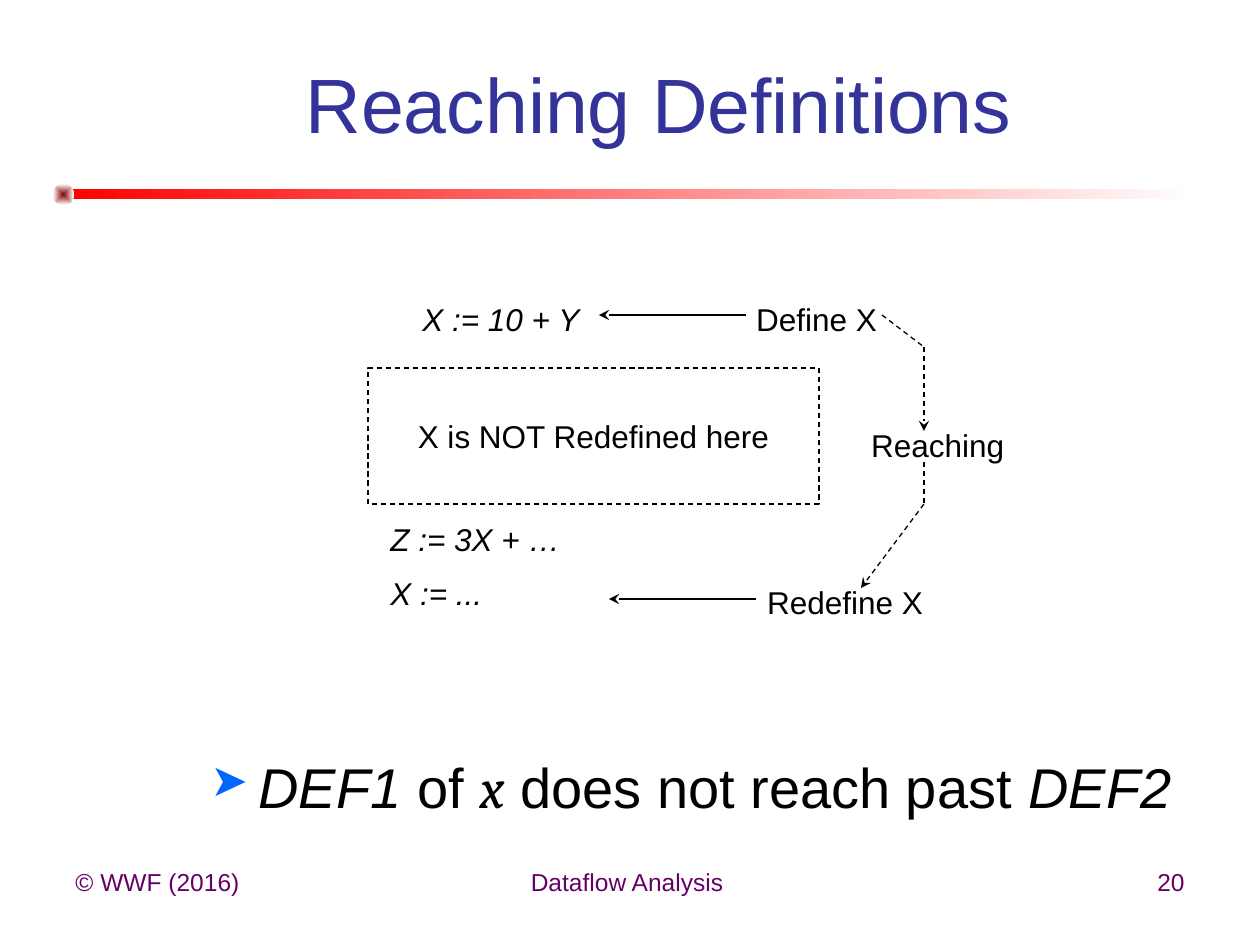
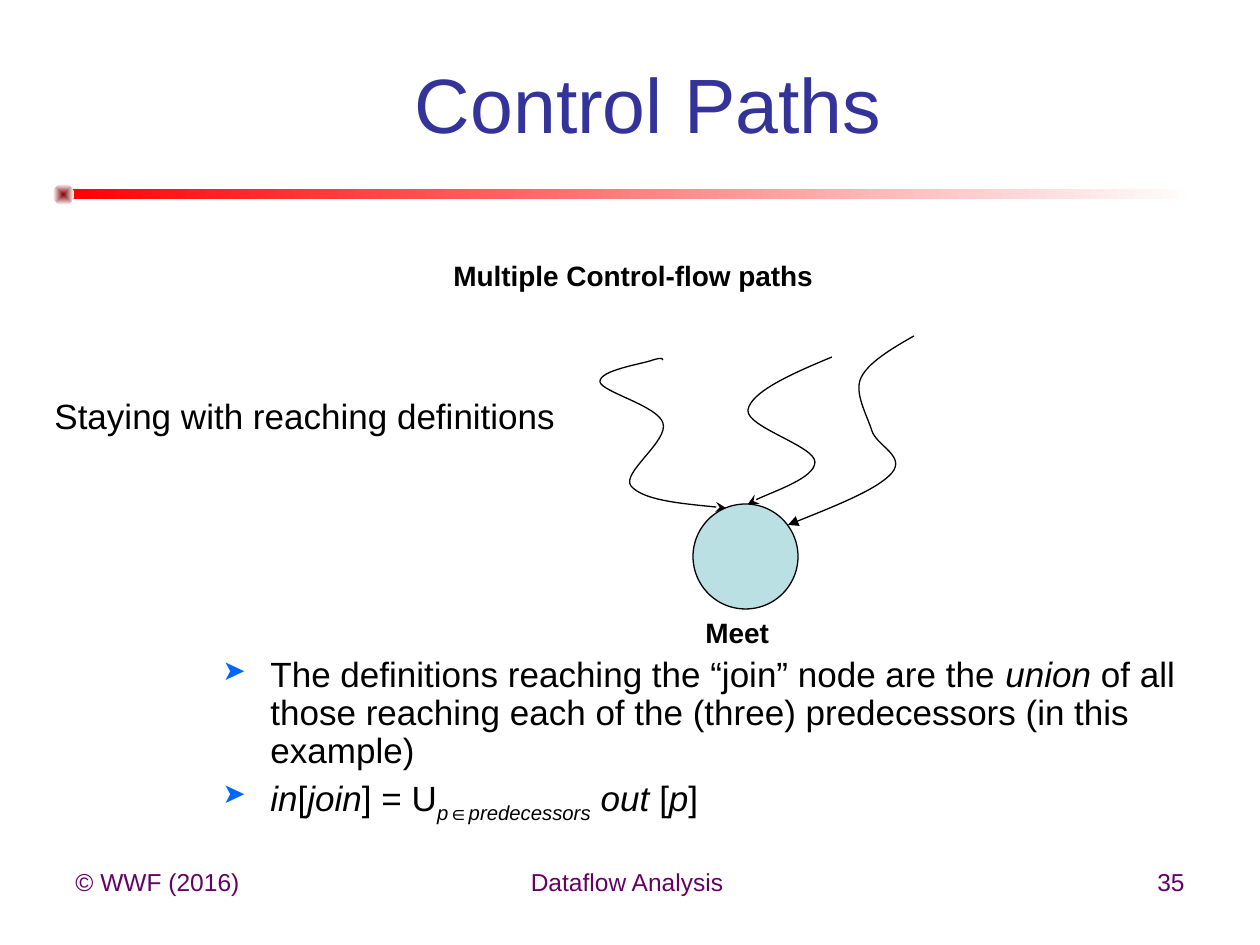
"""Build two dataflow analysis slides: reaching definitions and control paths."""
from lxml.etree import SubElement
from pptx import Presentation
from pptx.dml.color import RGBColor
from pptx.enum.dml import MSO_LINE
from pptx.enum.shapes import MSO_CONNECTOR, MSO_SHAPE
from pptx.enum.text import MSO_ANCHOR, PP_ALIGN
from pptx.oxml.ns import qn
from pptx.util import Emu, Pt

PX = 914400 / 126
FONT, SYMBOL_FONT = "Arial", "Cambria"
BLACK = RGBColor(0, 0, 0)
WHITE = RGBColor(255, 255, 255)
TITLE_BLUE = RGBColor(0x33, 0x33, 0x99)
FOOTER_PURPLE = RGBColor(0x66, 0, 0x66)
BAND_RED = RGBColor(255, 0, 0)
DOT_RED = RGBColor(0x80, 0, 0)
NODE_FILL = RGBColor(0xBB, 0xE0, 0xE3)
BULLET_BLUE = "0066FF"

TITLE_AT = (146, 69, 1026, 67)
BAND_AT = (63, 189, 1134, 10)
DOT_AT = (53, 184, 21, 21)
FOOTERS = [
    ((63, 861, 294, 66), "© WWF (2016)", PP_ALIGN.LEFT),
    ((431, 861, 399, 66), "Dataflow Analysis ", PP_ALIGN.CENTER),
]
NUMBER_AT = (903, 861, 294, 66)

REACHING = {
    "title": "Reaching Definitions",
    "number": "20",
    "body_at": (198, 746, 1062, 127),
    "body_size": 32,
    "body_spacing": 1.0,
    "bullets": [[("DEF1", "i"), (" of ", ""), ("x", "ic"),
                 (" does not reach past ", ""), ("DEF2", "i")]],
    "labels": [
        ((410, 294, 410, 50), ["X := 10 + Y"], 18, "i"),
        ((735, 294, 410, 50), [" Define X"], 18, ""),
        ((850, 420, 410, 50), [" Reaching"], 18, ""),
        ((746, 577, 410, 50), [" Redefine X"], 18, ""),
        ((378, 514, 410, 107), ["Z := 3X + …", "X := ..."], 18, "i"),
    ],
}
CONTROL = {
    "title": "Control Paths ",
    "number": "35",
    "body_at": (210, 651, 1050, 210),
    "body_size": 20,
    "body_spacing": 0.9,
    "bullets": [
        [("The definitions reaching the “join” node are the ", ""), ("union", "i"),
         (" of all those reaching each of the (three) predecessors (in this example)", "")],
        [("in", "i"), ("[", ""), ("join", "i"), ("] = U", ""), ("p", "is"), ("∈", "s"),
         ("predecessors", "is"), (" out ", "i"), ("[", ""), ("p", "i"), ("]", "")],
    ],
    "labels": [
        ((693, 609, 126, 47), ["Meet"], 16, "b"),
        ((441, 252, 494, 47), ["Multiple Control-flow paths"], 16, "b"),
        ((42, 388, 599, 54), ["Staying with reaching definitions"], 20, ""),
    ],
}

UNCHANGED_AT = (368, 368, 451, 136)
UNCHANGED_TEXT = "X is NOT Redefined here"
ARROWS = [
    ((746, 315), (599, 315), False, True),
    ((882, 315), (924, 347), True, False),
    ((924, 347), (924, 431), True, True),
    ((924, 462), (924, 504), True, False),
    ((924, 504), (861, 588), True, True),
    ((756, 599), (609, 599), False, True),
]
MEET_AT = (693, 504, 105, 105)
CURVES = [
    ("stealth", [(663, 360), (663, 359), (663, 357), (653, 360), (643, 364), (599, 370),
                 (600, 382), (602, 392), (658, 406), (663, 423), (669, 441), (621, 473),
                 (631, 486), (643, 500), (684, 504), (726, 508)]),
    ("stealth", [(832, 357), (791, 374), (751, 392), (748, 410), (746, 427), (815, 446),
                 (815, 462), (815, 478), (760, 496), (748, 504)]),
    ("triangle", [(914, 336), (891, 349), (868, 363), (861, 378), (854, 393), (867, 415),
                  (872, 431), (877, 446), (906, 456), (892, 473), (878, 489), (833, 507),
                  (788, 525)]),
]


def emu(lengths):
    return [Emu(round(length * PX)) for length in lengths]


def style_font(para, size, color, marks=""):
    font = para.font
    font.name, font.size = FONT, Pt(size)
    font.color.rgb = color
    if "b" in marks:
        font.bold = True
    if "i" in marks:
        font.italic = True


def style_line(line, dashed=False, head=None):
    line.color.rgb = BLACK
    line.width = Pt(0.75)
    if dashed:
        line.dash_style = MSO_LINE.DASH
    if head:
        SubElement(line._get_or_add_ln(), qn("a:tailEnd"), type=head)


def add_text(page, at, lines, size, color=BLACK, marks="", align=PP_ALIGN.LEFT):
    frame = page.shapes.add_textbox(*emu(at)).text_frame
    frame.word_wrap = True
    frame.text = "\n".join(lines)
    for index, para in enumerate(frame.paragraphs):
        para.alignment = align
        if index:
            para.space_before = Pt(size / 2)
        style_font(para, size, color, marks)


def add_bullet(para):
    props = para._p.get_or_add_pPr()
    indent = round(48 * PX)
    props.set("marL", str(indent))
    props.set("indent", str(-indent))
    SubElement(SubElement(props, qn("a:buClr")), qn("a:srgbClr"), val=BULLET_BLUE)
    SubElement(props, qn("a:buSzPct"), val="80000")
    SubElement(props, qn("a:buChar"), char="➤")


def add_body(page, content):
    frame = page.shapes.add_textbox(*emu(content["body_at"])).text_frame
    frame.word_wrap = True
    size = content["body_size"]
    for index, spans in enumerate(content["bullets"]):
        para = frame.add_paragraph() if index else frame.paragraphs[0]
        add_bullet(para)
        para.line_spacing = content["body_spacing"]
        if index:
            para.space_before = Pt(size / 5)
        style_font(para, size, BLACK)
        for text, marks in spans:
            span = para.add_run()
            span.text = text
            if "i" in marks:
                span.font.italic = True
            if "c" in marks:
                span.font.name = SYMBOL_FONT
            if "s" in marks:
                span._r.get_or_add_rPr().set("baseline", "-25000")


def add_shape(page, kind, at):
    shape = page.shapes.add_shape(kind, *emu(at))
    shape.shadow.inherit = False
    return shape


def add_gradient(page, kind, at, start):
    shape = add_shape(page, kind, at)
    shape.line.fill.background()
    shape.fill.gradient()
    shape.fill.gradient_angle = 0
    for stop, position, color in zip(shape.fill.gradient_stops, (0, 1), (start, WHITE)):
        stop.position = position
        stop.color.rgb = color
    return shape


def add_dot(page):
    dot = add_gradient(page, MSO_SHAPE.OVAL, DOT_AT, DOT_RED)
    gradient = dot._element.spPr.find(qn("a:gradFill"))
    gradient.remove(gradient.find(qn("a:lin")))
    center = SubElement(gradient, qn("a:path"), {"path": "shape"})
    SubElement(center, qn("a:fillToRect"), {side: "50000" for side in "ltrb"})


def add_arrow(page, start, end, dashed, pointed):
    arrow = page.shapes.add_connector(MSO_CONNECTOR.STRAIGHT, *emu(start + end))
    style_line(arrow.line, dashed, "stealth" if pointed else None)
    SubElement(arrow._element.spPr, qn("a:effectLst"))


def add_curve(page, head, points):
    builder = page.shapes.build_freeform(*points[0], scale=PX)
    builder.add_line_segments(points[1:], close=False)
    curve = builder.convert_to_shape()
    curve.shadow.inherit = False
    curve.fill.background()
    style_line(curve.line, head=head)
    outline = next(curve._element.iter(qn("a:path")))
    segments = outline.findall(qn("a:lnTo"))
    for first in range(0, len(segments), 3):
        bezier = SubElement(outline, qn("a:cubicBezTo"))
        for segment in segments[first:first + 3]:
            bezier.append(segment[0])
            outline.remove(segment)


def add_page(deck, content):
    page = deck.slides.add_slide(deck.slide_layouts[5])
    add_gradient(page, MSO_SHAPE.RECTANGLE, BAND_AT, BAND_RED)
    add_dot(page)
    for at, text, align in FOOTERS + [(NUMBER_AT, content["number"], PP_ALIGN.RIGHT)]:
        add_text(page, at, [text], 14, FOOTER_PURPLE, align=align)
    title = page.shapes.title
    title.left, title.top, title.width, title.height = emu(TITLE_AT)
    title.text_frame.text = content["title"]
    title.text_frame.vertical_anchor = MSO_ANCHOR.MIDDLE
    para = title.text_frame.paragraphs[0]
    para.alignment = PP_ALIGN.CENTER
    style_font(para, 44, TITLE_BLUE)
    add_body(page, content)
    for at, lines, size, marks in content["labels"]:
        add_text(page, at, lines, size, marks=marks)
    return page


def draw_reaching(page):
    unchanged = add_shape(page, MSO_SHAPE.RECTANGLE, UNCHANGED_AT)
    unchanged.fill.background()
    style_line(unchanged.line, dashed=True)
    frame = unchanged.text_frame
    frame.word_wrap = False
    frame.vertical_anchor = MSO_ANCHOR.MIDDLE
    frame.text = UNCHANGED_TEXT
    para = frame.paragraphs[0]
    para.alignment = PP_ALIGN.CENTER
    style_font(para, 18, BLACK)
    for arrow in ARROWS:
        add_arrow(page, *arrow)


def draw_control(page):
    meet = add_shape(page, MSO_SHAPE.OVAL, MEET_AT)
    meet.fill.solid()
    meet.fill.fore_color.rgb = NODE_FILL
    style_line(meet.line)
    for head, points in CURVES:
        add_curve(page, head, points)


def main():
    deck = Presentation()
    deck.slide_width, deck.slide_height = emu((1260, 945))
    draw_reaching(add_page(deck, REACHING))
    draw_control(add_page(deck, CONTROL))
    deck.save("out.pptx")


if __name__ == "__main__":
    main()
